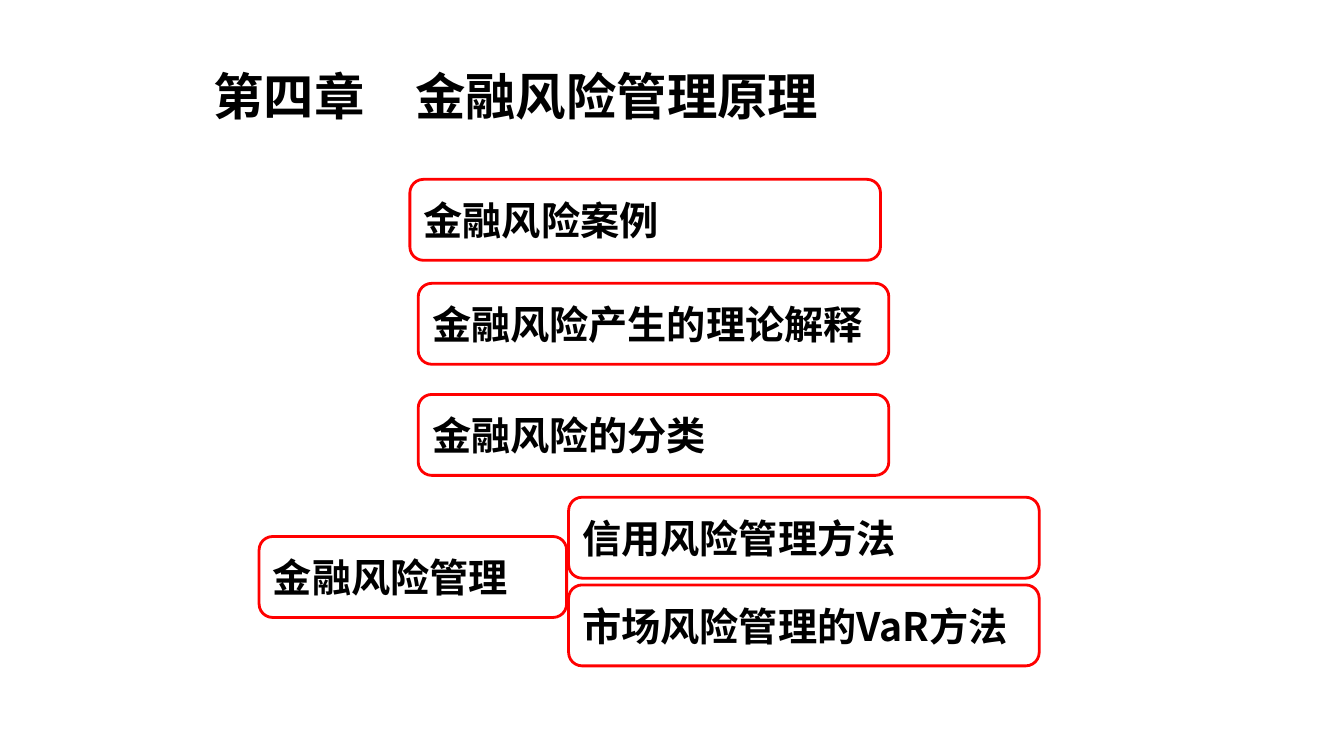
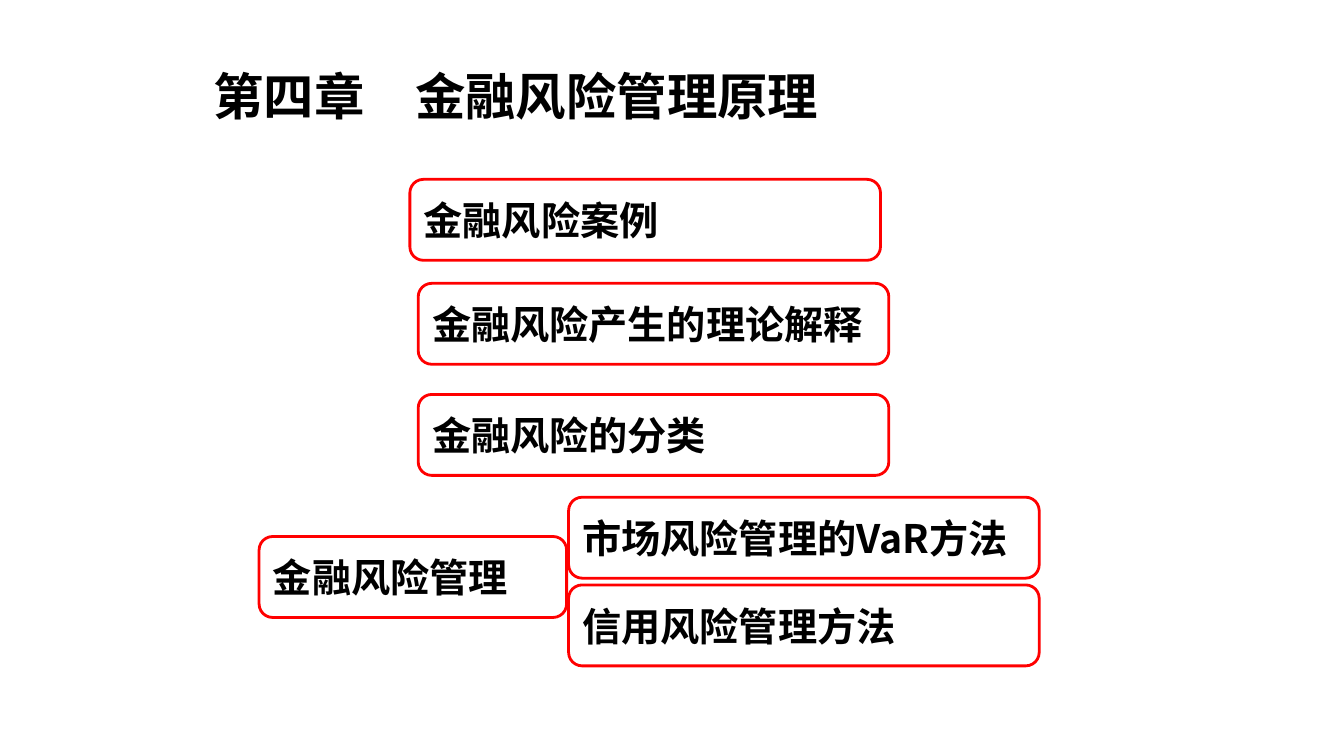
from dataclasses import dataclass

from lxml.etree import SubElement
from pptx import Presentation
from pptx.dml.color import RGBColor as RGB
from pptx.enum.shapes import MSO_SHAPE as Kind
from pptx.enum.text import MSO_ANCHOR as Anchor, PP_ALIGN as Align
from pptx.oxml.ns import qn
from pptx.util import Cm, Pt


@dataclass(frozen=True)
class Theme:
    """Colours, fonts and sizes of the deck."""
    ink: RGB = RGB(0, 0, 0)
    edge: RGB = RGB(255, 0, 0)
    line: Pt = Pt(2)
    head: Pt = Pt(36)
    body: Pt = Pt(28)
    latin: str = "Arial"
    han: str = "Noto Sans CJK SC"


theme = Theme()


def put_text(shape, text, size, face):
    """Write one bold line, left aligned, into a shape."""
    para = shape.text_frame.paragraphs[0]
    para.text = text
    para.alignment = Align.LEFT
    font = para.runs[0].font
    font.size, font.bold, font.name = size, True, face
    font.color.rgb = theme.ink
    SubElement(para.runs[0]._r.rPr, qn("a:ea"), typeface=theme.han)


def add_box(slide, text, left, top, width):
    """Draw one red rounded topic box."""
    box = slide.shapes.add_shape(Kind.FLOWCHART_ALTERNATE_PROCESS,
                                 Cm(left), Cm(top), Cm(width), Cm(2.04))
    box.shadow.inherit = False
    box.fill.background()
    box.line.color.rgb = theme.edge
    box.line.width = theme.line
    box.text_frame.word_wrap = False
    box.text_frame.vertical_anchor = Anchor.MIDDLE
    put_text(box, text, theme.body, theme.han)


wide = 11.86
topics = [
    ("金融风险案例", 10.33, 4.52, wide),
    ("金融风险产生的理论解释", 10.54, 7.14, wide),
    ("金融风险的分类", 10.54, 9.94, wide),
    ("金融风险管理", 6.53, 13.52, 7.75),
]
credit = "信用风险管理方法"
market = "市场风险管理的VaR方法"

deck = Presentation()
deck.slide_width, deck.slide_height = Cm(33.87), Cm(19.05)
blank = deck.slide_layouts[6]

for methods in [(credit, market), (market, credit)]:
    slide = deck.slides.add_slide(blank)
    for topic in topics:
        add_box(slide, *topic)
    for row, method in enumerate(methods):
        add_box(slide, method, 14.33, 12.53 + row * 2.21, wide)

    title = slide.shapes.add_textbox(Cm(5.13), Cm(1.52), Cm(22.2), Cm(1.78))
    title.text_frame.word_wrap = True
    put_text(title, "第四章\u3000金融风险管理原理", theme.head, theme.latin)

deck.save("out.pptx")
